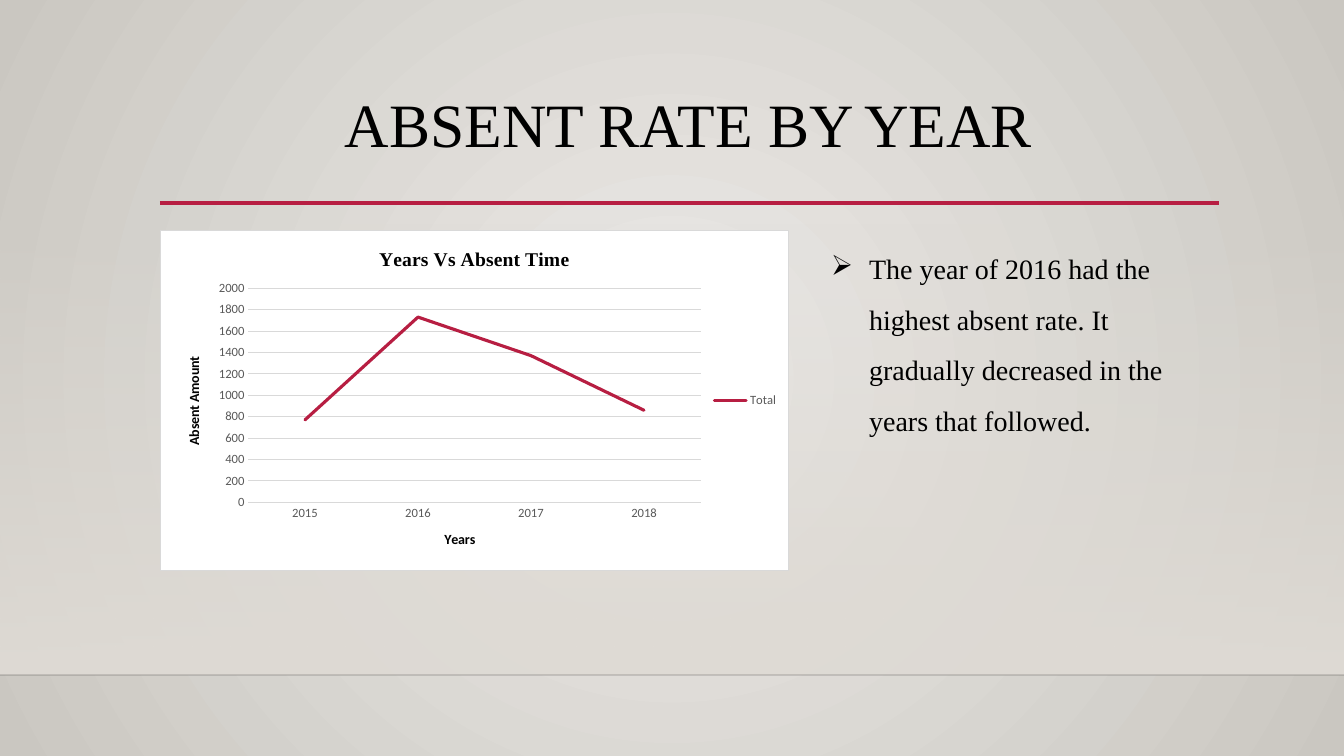
import pptx
import pptx.util
import pptx.chart.data
import pptx.dml.color
import pptx.enum.chart
import pptx.enum.shapes
import pptx.enum.text
import pptx.oxml
import pptx.oxml.ns
from lxml import etree

PIXEL = 9071
COLORS = {
    "black": "000000",
    "white": "FFFFFF",
    "crimson": "B71E42",
    "gray": "595959",
    "grid": "D9D9D9",
    "center": "ECEAE7",
    "edge": "CAC7C1",
    "floor": "DFDBD5",
}
NAMESPACE = pptx.oxml.ns.nsdecls("a")
qn = pptx.oxml.ns.qn


def color(name):
    return pptx.dml.color.RGBColor.from_string(COLORS[name])


def style_font(font, size, name, typeface, bold=False):
    font.size = pptx.util.Pt(size)
    font.name = typeface
    font.bold = bold
    font.color.rgb = color(name)


presentation = pptx.Presentation()
presentation.slide_width = 1344 * PIXEL
presentation.slide_height = 756 * PIXEL
slide = presentation.slides.add_slide(presentation.slide_layouts[1])
shapes = slide.shapes

background = slide.background.fill
background.gradient()
for stop, name in zip(background.gradient_stops, ("center", "edge")):
    stop.color.rgb = color(name)
gradient = slide.element.find(".//" + qn("a:gradFill"))
gradient.replace(gradient.find(qn("a:lin")), pptx.oxml.parse_xml(
    f'<a:path {NAMESPACE} path="circle">'
    '<a:fillToRect l="50000" t="50000" r="50000" b="50000"/></a:path>'))

title = shapes.title
body = slide.placeholders[1]

floor = shapes.add_shape(pptx.enum.shapes.MSO_SHAPE.RECTANGLE,
                         0, 223 * PIXEL, 1344 * PIXEL, 452 * PIXEL)
floor.shadow.inherit = False
floor.line.fill.background()
floor.fill.gradient()
floor.fill.gradient_angle = 270
for stop in floor.fill.gradient_stops:
    stop.color.rgb = color("floor")
clear_stop = floor.element.find(".//" + qn("a:srgbClr"))
etree.SubElement(clear_stop, qn("a:alpha"), val="0")

rules = [(0, 1344, 675, "black", 1, 20), (160, 1219, 203, "crimson", 2.5, 100)]
for left, right, top, name, width, opacity in rules:
    rule = shapes.add_connector(pptx.enum.shapes.MSO_CONNECTOR.STRAIGHT,
                                left * PIXEL, top * PIXEL, right * PIXEL, top * PIXEL)
    rule.line.color.rgb = color(name)
    rule.line.width = pptx.util.Pt(width)
    if opacity < 100:
        etree.SubElement(rule.element.find(".//" + qn("a:srgbClr")),
                         qn("a:alpha"), val=str(opacity * 1000))
    etree.SubElement(rule.element.spPr, qn("a:effectLst"))

texts = [
    (title, (160, 89, 1058, 116), "ABSENT RATE BY YEAR", 44, 0.9),
    (body, (821, 230, 354, 208),
     "The year of 2016 had the highest absent rate. It gradually decreased "
     "in the years that followed.", 20, 1.5),
]
for shape, box, text, size, spacing in texts:
    shape.left, shape.top, shape.width, shape.height = (side * PIXEL for side in box)
    frame = shape.text_frame
    frame.text = text
    frame.word_wrap = True
    frame.vertical_anchor = pptx.enum.text.MSO_ANCHOR.TOP
    frame.auto_size = pptx.enum.text.MSO_AUTO_SIZE.NONE
    paragraph = frame.paragraphs[0]
    paragraph.line_spacing = spacing
    paragraph.space_before = pptx.util.Pt(0)
    style_font(paragraph.font, size, "black", "Times New Roman")
    shapes.element.append(shape.element)
title.text_frame.paragraphs[0].alignment = pptx.enum.text.PP_ALIGN.CENTER
body.text_frame.auto_size = pptx.enum.text.MSO_AUTO_SIZE.SHAPE_TO_FIT_TEXT

bullet = body.text_frame.paragraphs[0]._p.get_or_add_pPr()
bullet.set("marL", str(38 * PIXEL))
bullet.set("indent", str(-38 * PIXEL))
bullet_font = pptx.oxml.parse_xml(f'<a:buFont {NAMESPACE} typeface="Wingdings"/>')
bullet_char = pptx.oxml.parse_xml(f'<a:buChar {NAMESPACE} char="&#216;"/>')
bullet.find(qn("a:defRPr")).addprevious(bullet_font)
bullet_font.addnext(bullet_char)

absences = pptx.chart.data.CategoryChartData()
absences.categories = ["2015", "2016", "2017", "2018"]
absences.add_series("Total", [770, 1730, 1370, 860])
chart = shapes.add_chart(pptx.enum.chart.XL_CHART_TYPE.LINE,
                         160 * PIXEL, 230 * PIXEL, 629 * PIXEL, 341 * PIXEL, absences).chart
style_font(chart.font, 10, "black", "Calibri")
chart.has_title = True
chart.chart_title.text_frame.text = "Years Vs Absent Time"
style_font(chart.chart_title.text_frame.paragraphs[0].font, 14, "black",
           "Times New Roman", True)
chart.chart_title.include_in_layout = False
chart.has_legend = True
chart.legend.position = pptx.enum.chart.XL_LEGEND_POSITION.RIGHT
chart.legend.include_in_layout = False
style_font(chart.legend.font, 9, "gray", "Calibri")

for axis, text in ((chart.category_axis, "Years"), (chart.value_axis, "Absent Amount")):
    axis.has_title = True
    axis.axis_title.text_frame.text = text
    style_font(axis.axis_title.text_frame.paragraphs[0].font, 10, "black", "Calibri", True)
    style_font(axis.tick_labels.font, 9, "gray", "Calibri")
    axis.major_tick_mark = pptx.enum.chart.XL_TICK_MARK.NONE
chart.value_axis.minimum_scale = 0
chart.value_axis.maximum_scale = 2000
chart.value_axis.major_unit = 200
chart.value_axis.format.line.fill.background()
for line in (chart.category_axis.format.line, chart.value_axis.major_gridlines.format.line):
    line.color.rgb = color("grid")
    line.width = pptx.util.Pt(0.75)

plot = chart.plots[0]
plot.vary_by_categories = False
series = plot.series[0]
series.smooth = False
series.marker.style = pptx.enum.chart.XL_MARKER_STYLE.NONE
series.format.line.color.rgb = color("crimson")
series.format.line.width = pptx.util.Pt(2.25)
series.format.line._ln.set("cap", "rnd")

chart_namespace = pptx.oxml.ns.nsdecls("c", "a")
plot_area = chart.element.find(".//" + qn("c:plotArea"))
for layout in plot_area.findall(qn("c:layout")):
    plot_area.remove(layout)
plot_area.insert(0, pptx.oxml.parse_xml(
    f'<c:layout {chart_namespace}><c:manualLayout><c:layoutTarget val="inner"/>'
    '<c:xMode val="edge"/><c:yMode val="edge"/><c:x val="0.14"/><c:y val="0.17"/>'
    '<c:w val="0.72"/><c:h val="0.63"/></c:manualLayout></c:layout>'))
chart.element.find(qn("c:chart")).addnext(pptx.oxml.parse_xml(
    f'<c:spPr {chart_namespace}><a:solidFill><a:srgbClr val="{COLORS["white"]}"/></a:solidFill>'
    f'<a:ln w="9525"><a:solidFill><a:srgbClr val="{COLORS["grid"]}"/></a:solidFill></a:ln></c:spPr>'))

presentation.save("out.pptx")
